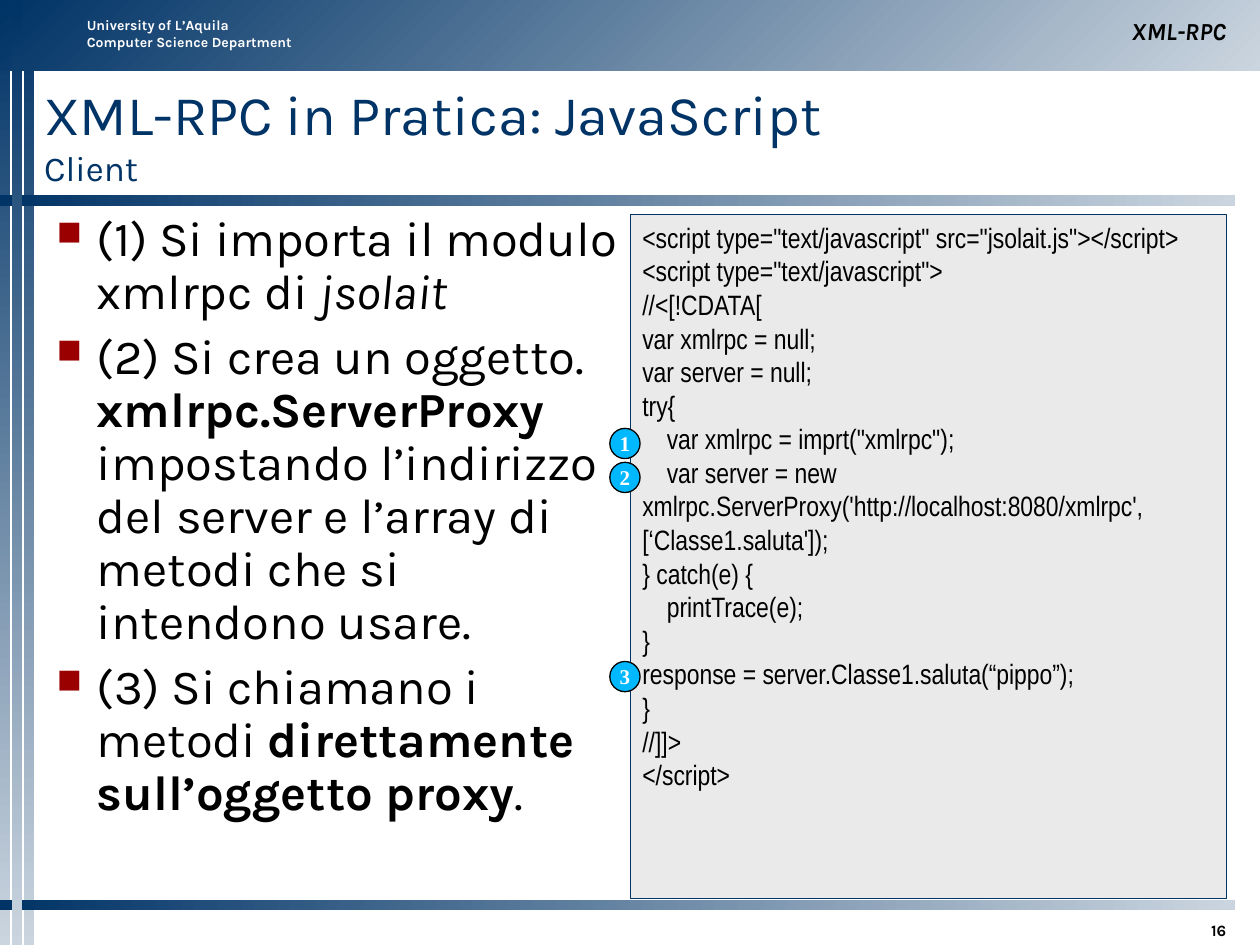
from lxml import etree
from pptx import Presentation
from pptx.dml import color
from pptx.enum import shapes, text
from pptx.oxml import ns
from pptx.util import Pt

NAVY, PALE, BLACK, WHITE = "003366", "CBD5DF", "000000", "FFFFFF"
SHAPE, ALIGN, ANCHOR = shapes.MSO_SHAPE, text.PP_ALIGN, text.MSO_ANCHOR
RIGHT, DOWN, SLANT = 0, 270, 315

POINTS = [
    [("(1) Si importa il modulo xmlrpc di ", ""), ("jsolait", "i")],
    [("(2) Si crea un oggetto. ", ""), ("xmlrpc.ServerProxy", "b"),
     (" impostando l’indirizzo del server e l’array di metodi che si intendono usare.", "")],
    [("(3) Si chiamano i metodi ", ""), ("direttamente sull’oggetto proxy", "b"), (".", "")],
]
CODE = [
    '<script type="text/javascript" src="jsolait.js"></script>',
    '<script type="text/javascript">',
    "//<[!CDATA[",
    "var xmlrpc = null;",
    "var server = null;",
    "try{",
    '\tvar xmlrpc = imprt("xmlrpc");',
    "\tvar server = new xmlrpc.ServerProxy('http://localhost:8080/xmlrpc', [‘Classe1.saluta']);",
    "} catch(e) {",
    "\tprintTrace(e);",
    "}",
    "response = server.Classe1.saluta(“pippo”);",
    "}",
    "//]]>",
    "</script>",
]


def rgb(code):
    return color.RGBColor.from_string(code)


def node(parent, tag, **attrs):
    return etree.SubElement(parent, ns.qn("a:" + tag), attrs)


def write(para, words, size, hue=BLACK, style="", face="Karla"):
    run = para.add_run()
    run.text = words
    font = run.font
    font.size, font.name = Pt(size), face
    font.bold, font.italic = "b" in style, "i" in style
    font.color.rgb = rgb(hue)


def setup(frame, inset=(7.2, 3.6, 7.2, 3.6), anchor=ANCHOR.TOP, wrap=True):
    frame.auto_size = text.MSO_AUTO_SIZE.NONE
    frame.word_wrap, frame.vertical_anchor = wrap, anchor
    (frame.margin_left, frame.margin_top,
     frame.margin_right, frame.margin_bottom) = map(Pt, inset)
    return frame


def label(slide, box, **opts):
    return setup(slide.shapes.add_textbox(*map(Pt, box)).text_frame, **opts)


def block(slide, kind, box, fill, line, weight):
    shape = slide.shapes.add_shape(kind, *map(Pt, box))
    shape.shadow.inherit = False
    shape.fill.solid()
    shape.fill.fore_color.rgb = rgb(fill)
    shape.line.color.rgb = rgb(line)
    shape.line.width = Pt(weight)
    return shape


def band(slide, box, angle):
    shape = slide.shapes.add_shape(SHAPE.RECTANGLE, *map(Pt, box))
    shape.shadow.inherit = False
    shape.line.fill.background()
    shape.fill.gradient()
    shape.fill.gradient_angle = angle
    for stop, hue in zip(shape.fill.gradient_stops, (NAVY, PALE)):
        stop.color.rgb = rgb(hue)


def frame(slide, wide, high):
    thick = 5.9
    for left in (0, 13.7):
        band(slide, (left, 0, thick, high), DOWN)
    band(slide, (0, 0, wide, 40.3), SLANT)
    for top in (111.6, 514.1):
        band(slide, (0, top, wide - 14.4, thick), RIGHT)
    band(slide, (6.85, 0, thick, high), DOWN)


def header(slide, left, top, wide):
    para = label(slide, (left, top, 133.2, 36)).paragraphs[0]
    para.space_before = Pt(5)
    write(para, "University of L’Aquila", 8, WHITE, "b")
    para.add_line_break()
    write(para, "Computer Science Department", 8, WHITE, "b")
    right = left + wide
    para = label(slide, (right - 347.8, top, 347.8, 23.8), anchor=ANCHOR.BOTTOM).paragraphs[0]
    para.alignment = ALIGN.RIGHT
    write(para, "XML-RPC", 14, style="bi")


def heading(slide, box):
    title = slide.shapes.title
    title.left, title.top, title.width, title.height = map(Pt, box)
    para = setup(title.text_frame, (0, 0, 0, 0), ANCHOR.MIDDLE).paragraphs[0]
    para.alignment = ALIGN.LEFT
    write(para, "XML-RPC in Pratica: JavaScript", 32, NAVY)
    para.add_line_break()
    write(para, "Client", 20, NAVY)


def bullets(slide, box):
    body = label(slide, box, inset=(7.2, 0, 7.2, 0))
    for num, parts in enumerate(POINTS):
        para = body.add_paragraph() if num else body.paragraphs[0]
        para.line_spacing, para.space_before = 0.9, Pt(7)
        props = para._p.get_or_add_pPr()
        props.set("marL", str(Pt(23)))
        props.set("indent", str(Pt(-23)))
        node(node(props, "buClr"), "srgbClr", val="9A0000")
        node(props, "buSzPct", val="70000")
        node(props, "buChar", char="■")
        for words, style in parts:
            write(para, words, 28, style=style)


def listing(slide, box):
    panel = block(slide, SHAPE.RECTANGLE, box, "EAEAEA", NAVY, 0.25)
    body = setup(panel.text_frame)
    for num, line in enumerate(CODE):
        para = body.add_paragraph() if num else body.paragraphs[0]
        para.alignment = ALIGN.LEFT
        tabs = node(para._p.get_or_add_pPr(), "tabLst")
        node(tabs, "tab", pos=str(Pt(14)), algn="l")
        write(para, line, 16, face="Arial Narrow")
    left, top = box[:2]
    for mark, drop in (("1", 122.4), ("2", 141.8), ("3", 255.6)):
        badge(slide, (left - 11.5, top + drop, 17.3, 17.3), mark)


def badge(slide, box, mark):
    disc = block(slide, SHAPE.OVAL, box, "00B8FF", BLACK, 0.75)
    para = setup(disc.text_frame, anchor=ANCHOR.MIDDLE, wrap=False).paragraphs[0]
    para.alignment = ALIGN.CENTER
    write(para, mark, 12, WHITE, "b", "Times New Roman")


def footer(slide, box):
    body = label(slide, box, inset=(7.2, 3.6, 7.2, 0), anchor=ANCHOR.BOTTOM)
    para = body.paragraphs[0]
    para.alignment = ALIGN.RIGHT
    write(para, "16", 9, style="b")


def main():
    deck = Presentation()
    deck.slide_width, deck.slide_height = Pt(720), Pt(540)
    slide = deck.slides.add_slide(deck.slide_layouts[5])
    frame(slide, 720, 540)
    header(slide, 42.5, 5.8, 665.3)
    heading(slide, (25.2, 41.8, 682.6, 69.1))
    bullets(slide, (25.2, 122.4, 334.8, 390.2))
    listing(slide, (360, 122.4, 340.6, 391))
    footer(slide, (629.3, 519.1, 78.5, 18))
    deck.save("out.pptx")


if __name__ == "__main__":
    main()
